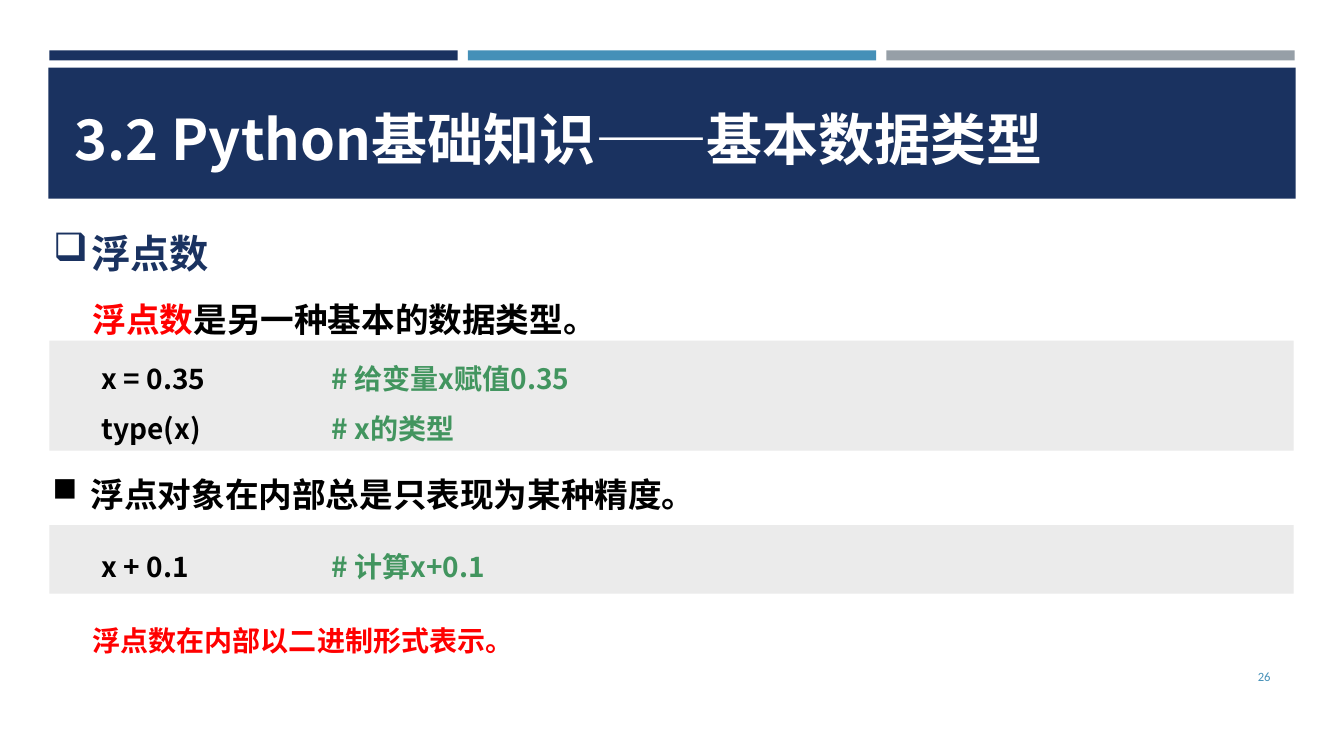
import pptx
import pptx.util
import pptx.dml.color
import pptx.enum.shapes
import pptx.enum.text
import lxml.etree

Inches = pptx.util.Inches
FONT = "Noto Sans CJK SC"
COLORS = {
    "navy": "1A3260", "blue": "4590B8", "gray": "969FA7", "panel": "EBEBEB",
    "white": "FFFFFF", "black": "000000", "red": "FF0000", "green": "42955F",
}

TITLE = "3.2 Python基础知识——基本数据类型"
PAGE_NUMBER = "26"
ACCENTS = ["navy", "blue", "gray"]
STATEMENTS = [
    {"at": (0.43, 1.99, 12.4, 0.72), "size": 28, "bullet": "❑", "after": 12,
     "lines": [[("浮点数", "navy")]]},
    {"at": (0.82, 2.72, 11.92, 0.64), "size": 24,
     "lines": [[("浮点数", "red"), ("是另一种基本的数据类型。", "black")]]},
    {"at": (0.42, 4.45, 11.92, 0.64), "size": 24, "bullet": "■",
     "lines": [[("浮点对象在内部总是只表现为某种精度。", "black")]]},
    {"at": (0.82, 5.97, 11.92, 0.55), "size": 20,
     "lines": [[("浮点数在内部以二进制形式表示。", "red")]]},
]
CODE_PANELS = [
    {"top": 3.38, "height": 1.09, "text_top": 3.37, "text_height": 1.05,
     "code": [("x = 0.35", "# 给变量x赋值0.35"), ("type(x)", "# x的类型")]},
    {"top": 5.21, "height": 0.68, "text_top": 5.24, "text_height": 0.55,
     "code": [("x + 0.1", "# 计算x+0.1")]},
]
CODE_COLUMNS = [(0.91, 2.28, "black"), (3.19, 6.19, "green")]


def rgb(color):
    return pptx.dml.color.RGBColor.from_string(COLORS[color])


def add_bar(shapes, at, color):
    bar = shapes.add_shape(pptx.enum.shapes.MSO_SHAPE.RECTANGLE, *map(Inches, at))
    bar.shadow.inherit = False
    bar.fill.solid()
    bar.fill.fore_color.rgb = rgb(color)
    bar.line.fill.background()
    return bar


def add_run(paragraph, text, size, color, font=FONT, bold=True):
    run = paragraph.add_run()
    run.text = text
    run.font.size = pptx.util.Pt(size)
    run.font.bold = bold
    run.font.color.rgb = rgb(color)
    run.font.name = font
    east_asian = lxml.etree.SubElement(run.font._element, pptx.oxml.ns.qn("a:ea"))
    east_asian.set("typeface", font)


def set_bullet(paragraph, symbol):
    properties = paragraph._p.get_or_add_pPr()
    properties.set("marL", str(Inches(0.38)))
    properties.set("indent", str(-Inches(0.38)))
    bullet = lxml.etree.SubElement(properties, pptx.oxml.ns.qn("a:buChar"))
    bullet.set("char", symbol)


def add_text(shapes, at, lines, size, bullet=None, after=0):
    frame = shapes.add_textbox(*map(Inches, at)).text_frame
    frame.word_wrap = True
    for index, line in enumerate(lines):
        paragraph = frame.add_paragraph() if index else frame.paragraphs[0]
        paragraph.line_spacing = 1.5
        paragraph.space_after = pptx.util.Pt(after)
        if bullet:
            set_bullet(paragraph, bullet)
        for text, color in line:
            add_run(paragraph, text, size, color)


def main():
    deck = pptx.Presentation()
    deck.slide_width, deck.slide_height = Inches(13.33), Inches(7.5)
    slide = deck.slides.add_slide(deck.slide_layouts[5])
    title = slide.shapes.title

    header = [((0.49 + 4.15 * i, 0.5, 4.05, 0.1), color) for i, color in enumerate(ACCENTS)]
    header.append(((0.48, 0.67, 12.37, 1.3), "navy"))
    for at, color in header:
        title.element.addprevious(add_bar(slide.shapes, at, color).element)

    title.left, title.top = Inches(0.64), Inches(0.99)
    title.width, title.height = Inches(13.16), Inches(0.77)
    title.text_frame.auto_size = pptx.enum.text.MSO_AUTO_SIZE.NONE
    title.text_frame.vertical_anchor = pptx.enum.text.MSO_ANCHOR.TOP
    heading = title.text_frame.paragraphs[0]
    heading.alignment = pptx.enum.text.PP_ALIGN.LEFT
    add_run(heading, TITLE, 40, "white")

    for statement in STATEMENTS:
        add_text(slide.shapes, **statement)

    for panel in CODE_PANELS:
        group = slide.shapes.add_group_shape()
        add_bar(group.shapes, (0.49, panel["top"], 12.34, panel["height"]), "panel")
        for (left, width, color), column in zip(CODE_COLUMNS, zip(*panel["code"])):
            add_text(group.shapes, (left, panel["text_top"], width, panel["text_height"]),
                     [[(text, color)] for text in column], 20)

    page = slide.shapes.add_textbox(*map(Inches, (11.55, 6.51, 1.15, 0.4))).text_frame
    page.word_wrap = True
    page.vertical_anchor = pptx.enum.text.MSO_ANCHOR.MIDDLE
    page.paragraphs[0].alignment = pptx.enum.text.PP_ALIGN.RIGHT
    add_run(page.paragraphs[0], PAGE_NUMBER, 9, "blue", "Calibri", False)

    deck.save("out.pptx")


if __name__ == "__main__":
    main()
